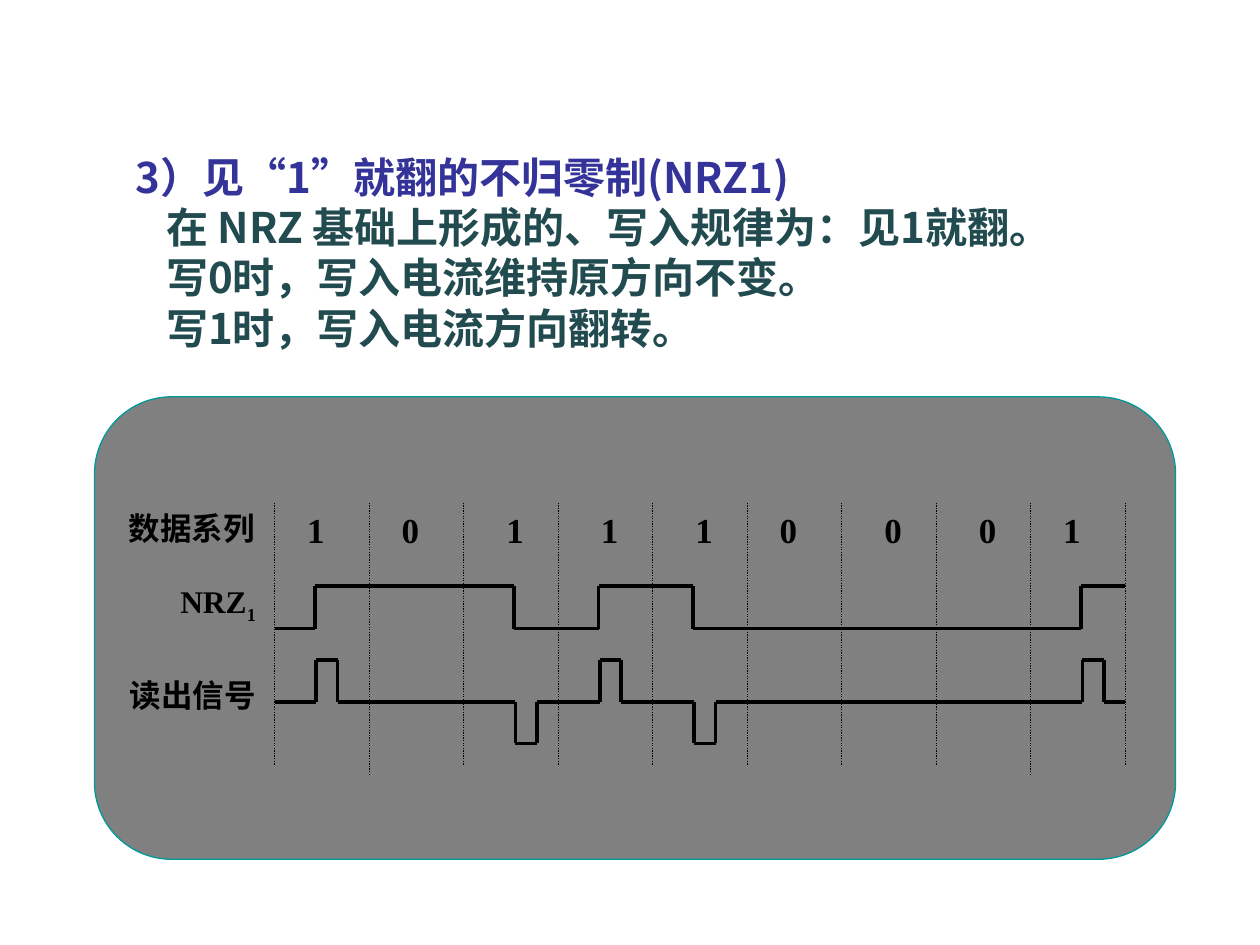
from itertools import pairwise

from lxml.etree import SubElement
from pptx import Presentation
from pptx.dml.color import RGBColor
from pptx.enum.dml import MSO_LINE
from pptx.enum.shapes import MSO_CONNECTOR, MSO_SHAPE
from pptx.enum.text import MSO_ANCHOR, PP_ALIGN
from pptx.oxml.ns import qn
from pptx.util import Inches, Pt

HEADING = "3）见“1”就翻的不归零制(NRZ1)"
RULES = [
    "在 NRZ 基础上形成的、写入规律为：见1就翻。",
    "写0时，写入电流维持原方向不变。",
    "写1时，写入电流方向翻转。",
]
LABELS = [
    (("数据系列", ""), (0.92, 3.99, 1.2, 0.4)),
    (("NRZ", "1"), (1.33, 4.57, 0.8, 0.44)),
    (("读出信号", ""), (0.93, 5.32, 1.2, 0.4)),
]
BITS = "101110001"
BIT_LEFTS = [2.34, 3.09, 3.92, 4.67, 5.42, 6.09, 6.92, 7.67, 8.34]
FLIPS = [2.5, 4.08, 4.75, 5.5, 8.58]
LONG_GRID_LINES = (1, 8)

GRID_LEFT, GRID_STEP, GRID_TOP = 2.18, 0.75, 3.99
GRID_RIGHT = GRID_LEFT + GRID_STEP * len(BITS)
LOW, HIGH = 4.99, 4.65
BASELINE, PULSE_HEIGHT, PULSE_WIDTH, PULSE_DELAY = 5.57, 0.33, 0.17, 0.01
BLACK, INDIGO, TEAL = "000000", "333399", "224B50"
SANS, SERIF = "Noto Sans CJK SC", "Times New Roman"


def color(value):
    return RGBColor.from_string(value)


def add_box(page, place, wrap=False):
    frame = page.shapes.add_textbox(*map(Inches, place)).text_frame
    frame.word_wrap = wrap
    frame.vertical_anchor = MSO_ANCHOR.TOP
    return frame


def add_span(para, text, size=18, font=SERIF, fill=BLACK, east=None, baseline=None):
    span = para.add_run()
    span.text = text
    span.font.size = Pt(size)
    span.font.bold = True
    span.font.name = font
    span.font.color.rgb = color(fill)
    properties = span._r.get_or_add_rPr()
    if east:
        SubElement(properties, qn("a:ea")).set("typeface", east)
    if baseline:
        properties.set("baseline", str(baseline))


def add_line(page, start, end, width=2, dash=None):
    line = page.shapes.add_connector(
        MSO_CONNECTOR.STRAIGHT, *map(Inches, (*start, *end)))
    line.line.color.rgb = color(BLACK)
    line.line.width = Pt(width)
    if dash:
        line.line.dash_style = dash
    SubElement(line._element.spPr, qn("a:effectLst"))


def add_wave(page, points):
    for start, end in pairwise(points):
        add_line(page, start, end)


def write_current():
    level, other = LOW, HIGH
    points = [(GRID_LEFT, level)]
    for flip in FLIPS:
        points += [(flip, level), (flip, other)]
        level, other = other, level
    return points + [(GRID_RIGHT, level)]


def read_signal():
    points = [(GRID_LEFT, BASELINE)]
    for index, flip in enumerate(FLIPS):
        start = flip + PULSE_DELAY
        end = start + PULSE_WIDTH
        peak = BASELINE + PULSE_HEIGHT * (1 if index % 2 else -1)
        points += [(start, BASELINE), (start, peak), (end, peak), (end, BASELINE)]
    return points + [(GRID_RIGHT, BASELINE)]


def add_explanation(page):
    frame = add_box(page, (0.98, 1.15, 8.35, 1.7), wrap=True)
    for index, text in enumerate([HEADING, *RULES]):
        para = frame.add_paragraph() if index else frame.paragraphs[0]
        para.line_spacing = Pt(28.8)
        if index:
            para._p.get_or_add_pPr().set("marL", str(Inches(0.24)))
        add_span(para, text, size=24, font=SANS, east=SANS,
                 fill=TEAL if index else INDIGO)


def add_panel(page):
    panel = page.shapes.add_shape(
        MSO_SHAPE.FLOWCHART_ALTERNATE_PROCESS,
        *map(Inches, (0.75, 3.15, 8.58, 3.67)))
    panel.shadow.inherit = False
    panel.fill.solid()
    panel.fill.fore_color.rgb = color("808080")
    panel.line.color.rgb = color("009999")
    panel.line.width = Pt(0.75)


def add_timing_diagram(page):
    for index in range(len(BITS) + 1):
        left = GRID_LEFT + GRID_STEP * index
        bottom = 6.15 if index in LONG_GRID_LINES else 6.07
        add_line(page, (left, GRID_TOP), (left, bottom),
                 width=0.75, dash=MSO_LINE.ROUND_DOT)
    for (text, subscript), place in LABELS:
        para = add_box(page, place).paragraphs[0]
        para.alignment = PP_ALIGN.RIGHT
        add_span(para, text)
        if subscript:
            add_span(para, subscript, baseline=-25000)
    for bit, left in zip(BITS, BIT_LEFTS):
        para = add_box(page, (left, GRID_TOP, 0.34, 0.44)).paragraphs[0]
        add_span(para, bit, size=20)
    add_wave(page, write_current())
    add_wave(page, read_signal())


def main():
    deck = Presentation()
    deck.slide_width, deck.slide_height = Inches(10), Inches(7.5)
    page = deck.slides.add_slide(deck.slide_layouts[6])
    add_explanation(page)
    add_panel(page)
    add_timing_diagram(page)
    deck.save("out.pptx")


if __name__ == "__main__":
    main()
